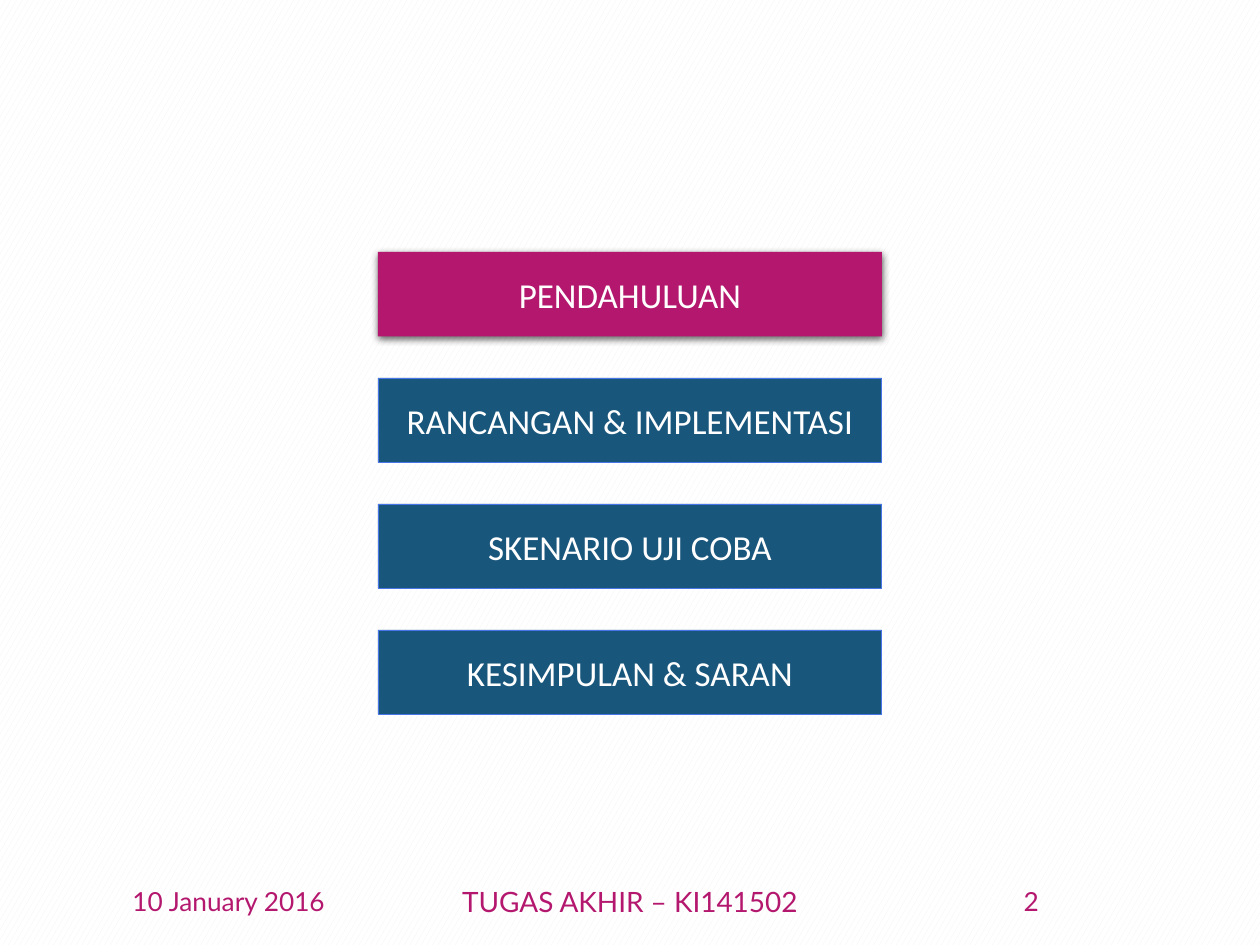
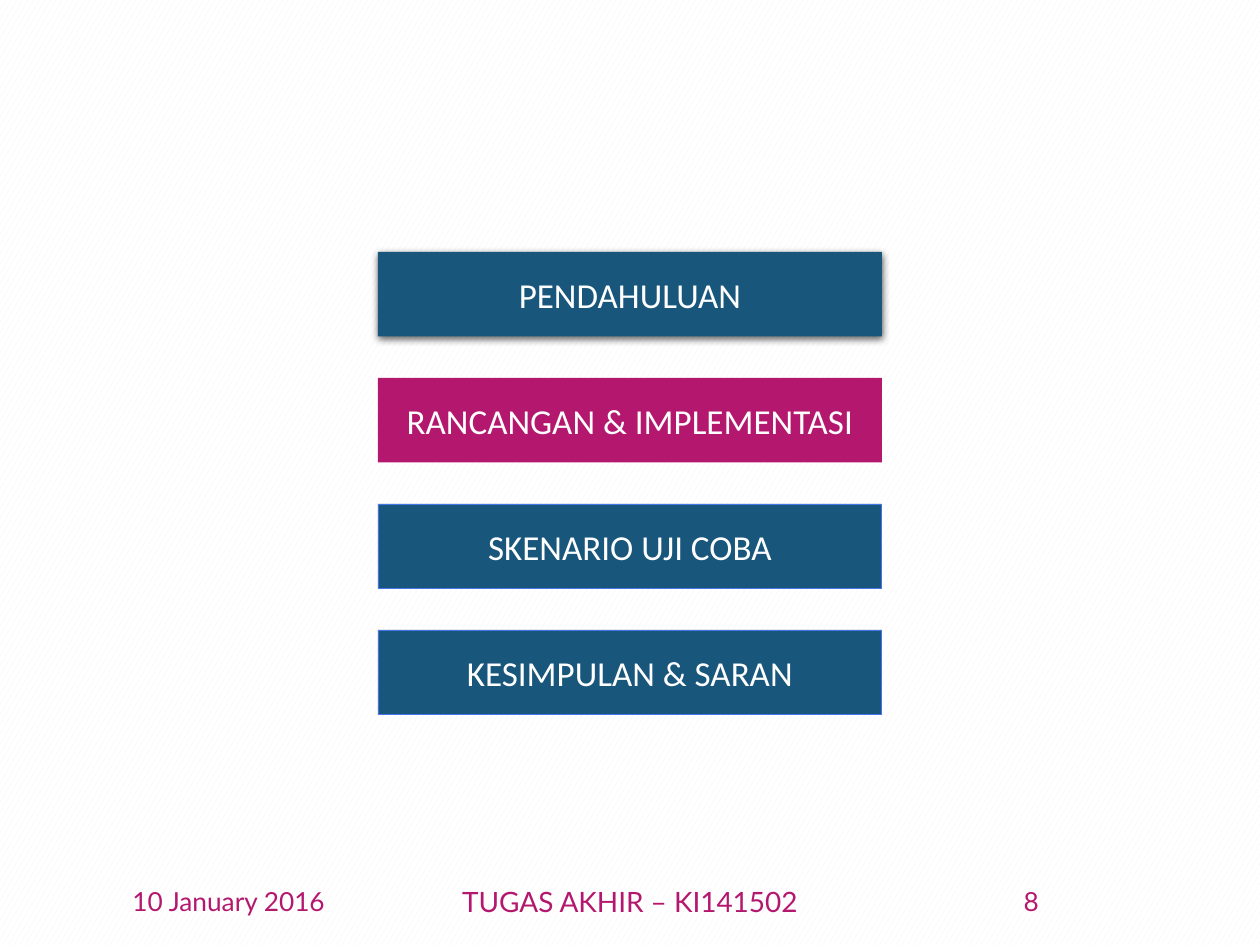
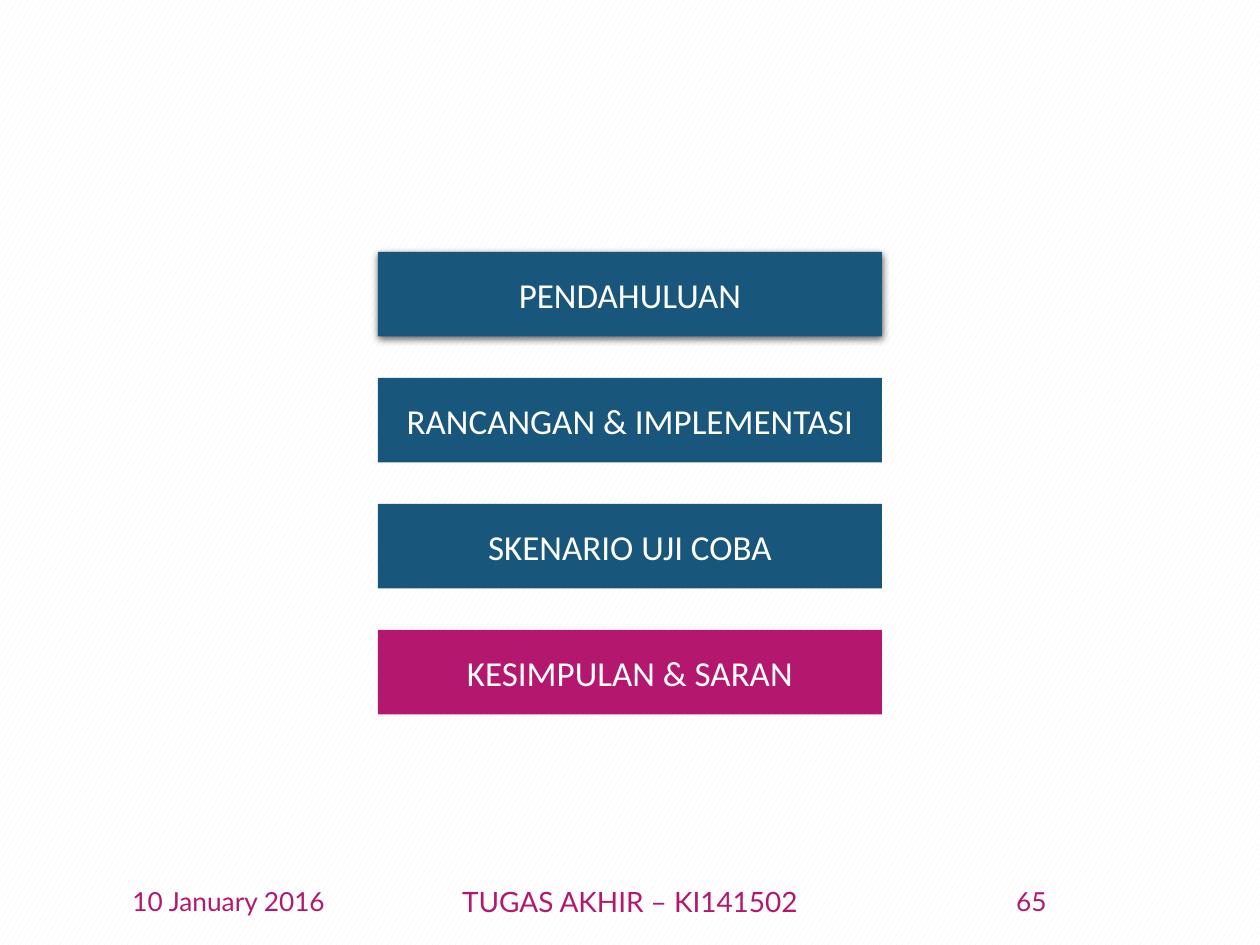
from lxml import etree
from pptx import Presentation
from pptx import util as u
from pptx.dml.color import RGBColor
from pptx.enum import dml, shapes, text
from pptx.oxml import ns

COLORS = {
    "accent": "B4186E",
    "section": "19567C",
    "outline": "4775E7",
    "label": "FFFFFF",
    "paper": "FFFFFF",
    "confetti": "F2F2F2",
    "shadow": "000000",
}

# Shared text formats
FRAME = {"vertical_anchor": text.MSO_ANCHOR.MIDDLE}
SECTION_FONT = {"name": "Calibri", "size": u.Pt(20)}
SIDE_FONT = {"name": "Lato", "size": u.Pt(15)}
COURSE_FONT = {"name": "Lato", "size": u.Pt(16)}

# Shared content
SECTIONS = [
    "PENDAHULUAN",
    "RANCANGAN & IMPLEMENTASI",
    "SKENARIO UJI COBA",
    "KESIMPULAN & SARAN",
]
DATE = "10 January 2016"
COURSE = "TUGAS AKHIR – KI141502"

# Page number and index of the highlighted section
PAGES = [(2, 0), (8, 1), (65, 3)]

# Section stack, in inches
STACK_LEFT, STACK_TOP, STACK_PITCH = 3, 2, 1
SECTION_WIDTH, SECTION_HEIGHT = 4, 0.67


def color(name):
    return RGBColor.from_string(COLORS[name])


def apply(target, values):
    for name, value in values.items():
        setattr(target, name, value)


def write(box, words, font, color_name, wrap):
    frame = box.text_frame
    apply(frame, {**FRAME, "word_wrap": wrap})
    para = frame.paragraphs[0]
    para.alignment = text.PP_ALIGN.CENTER
    span = para.add_run()
    span.text = words
    apply(span.font, font)
    span.font.color.rgb = color(color_name)


def set_background(deck):
    fill = deck.slide_master.background.fill
    fill.patterned()
    fill.pattern = dml.MSO_PATTERN.LARGE_CONFETTI
    fill.fore_color.rgb = color("confetti")
    fill.back_color.rgb = color("paper")


def add_footer(page, number):
    parts = [
        (0.69, 2.25, DATE, SIDE_FONT),
        (3.31, 3.38, COURSE, COURSE_FONT),
        (7.06, 2.25, str(number), SIDE_FONT),
    ]
    for left, width, words, font in parts:
        box = page.shapes.add_textbox(
            u.Inches(left), u.Inches(6.95), u.Inches(width), u.Inches(0.4))
        write(box, words, font, "accent", wrap=True)


def add_drop_shadow(box):
    effects = box._element.spPr.find(ns.qn("a:effectLst"))
    shadow = etree.SubElement(
        effects, ns.qn("a:outerShdw"), blurRad=str(u.Pt(4.5)),
        dist=str(u.Pt(1.5)), dir="5400000", algn="ctr", rotWithShape="0")
    tint = etree.SubElement(shadow, ns.qn("a:srgbClr"), val=COLORS["shadow"])
    etree.SubElement(tint, ns.qn("a:alpha"), val="63000")


def add_section(page, index, current):
    box = page.shapes.add_shape(
        shapes.MSO_SHAPE.RECTANGLE,
        u.Inches(STACK_LEFT), u.Inches(STACK_TOP + index * STACK_PITCH),
        u.Inches(SECTION_WIDTH), u.Inches(SECTION_HEIGHT))
    box.shadow.inherit = False
    box.fill.solid()
    box.fill.fore_color.rgb = color("accent" if index == current else "section")
    # Sections still to come are outlined
    if index > current:
        box.line.color.rgb = color("outline")
        box.line.width = u.Pt(0.5)
    else:
        box.line.fill.background()
    if index == 0:
        add_drop_shadow(box)
    write(box, SECTIONS[index], SECTION_FONT, "label", wrap=False)


def add_agenda(deck, number, current):
    page = deck.slides.add_slide(deck.slide_layouts[6])
    add_footer(page, number)
    for index in range(len(SECTIONS)):
        add_section(page, index, current)


def main():
    deck = Presentation()
    deck.slide_width, deck.slide_height = u.Inches(10), u.Inches(7.5)
    set_background(deck)
    for number, current in PAGES:
        add_agenda(deck, number, current)
    deck.save("out.pptx")


if __name__ == "__main__":
    main()
